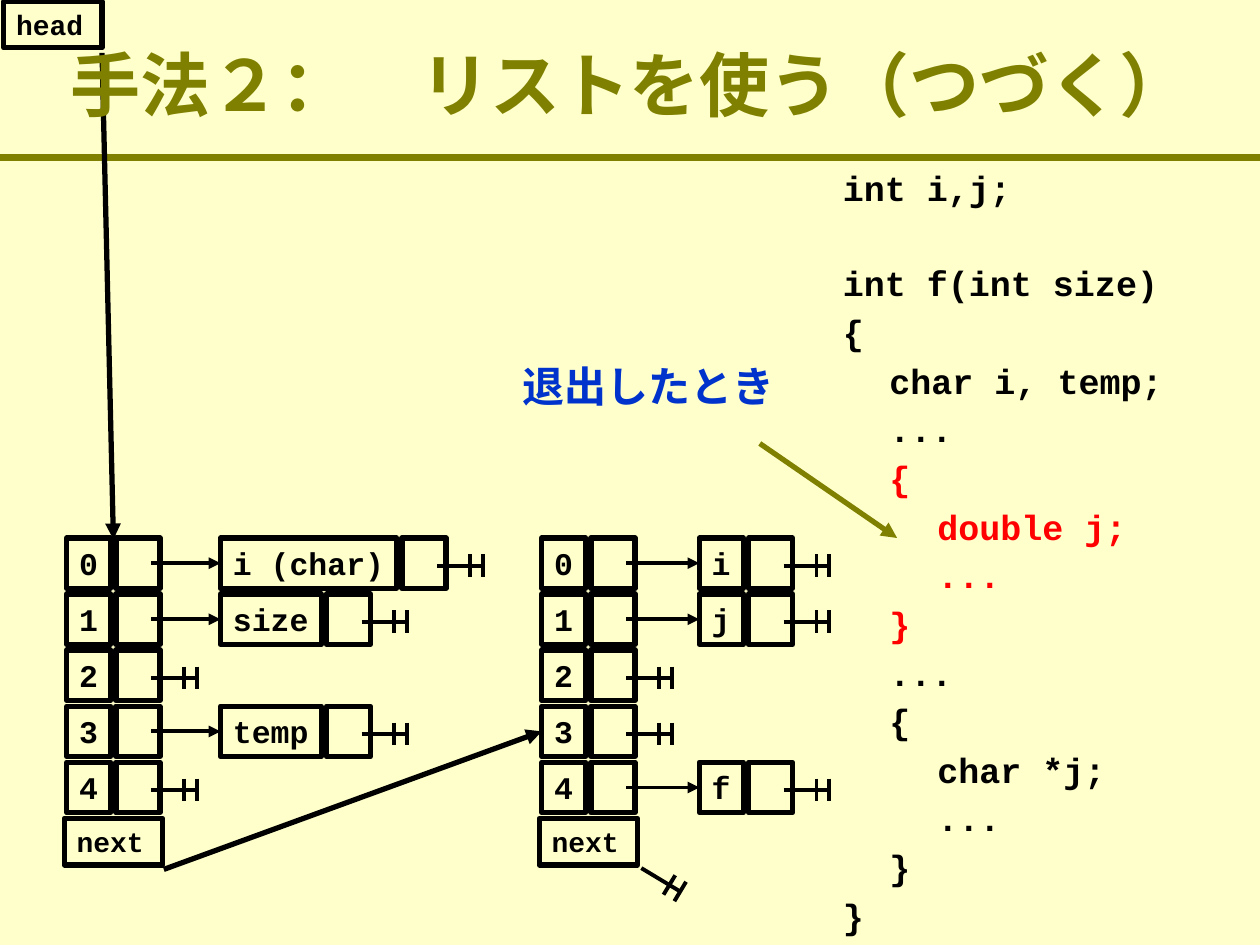
import math

from lxml import etree
from pptx import Presentation
from pptx.dml.color import RGBColor
from pptx.enum.shapes import MSO_CONNECTOR, MSO_SHAPE
from pptx.enum.text import MSO_ANCHOR, PP_ALIGN
from pptx.oxml.ns import qn
from pptx.util import Inches, Pt

STRAIGHT = MSO_CONNECTOR.STRAIGHT
RECTANGLE = MSO_SHAPE.RECTANGLE
TOP = MSO_ANCHOR.TOP
MIDDLE = MSO_ANCHOR.MIDDLE
LEFT = PP_ALIGN.LEFT
CENTER = PP_ALIGN.CENTER
LEFT_SIDE = 1

CREAM = RGBColor(0xFF, 0xFF, 0xCC)
OLIVE = RGBColor(0x80, 0x80, 0x00)
BLACK = RGBColor(0x00, 0x00, 0x00)
BLUE = RGBColor(0x00, 0x33, 0xCC)
RED = RGBColor(0xFF, 0x00, 0x00)

CELL_WIDTH = 0.35
CELL_HEIGHT = 0.4
ROW_PITCH = 0.445
LINK_GAP = 0.04
POINTER_OFFSET = 0.28
GROUND_LENGTH = 0.36
BAR_GAP = 0.1
BAR_HALF = 0.09

CELL_FONT = {"name": "Courier New", "size": Pt(18), "bold": True}
NAME_FONT = {"name": "Courier New", "size": Pt(16), "bold": True}
CODE_FONT = {"name": "Courier New", "size": Pt(20), "bold": True}
NOTE_FONT = {"name": "Comic Neue", "size": Pt(24), "bold": True}
TITLE_FONT = {"name": "Times New Roman", "size": Pt(40), "bold": True}

CODE_GAP = Pt(6.2)
CODE_BLANK_LINE = Pt(32.8)
CODE_LINES = [
    ("int i,j;", BLACK, Pt(0)),
    ("int f(int size)", BLACK, CODE_BLANK_LINE),
    ("{", BLACK, CODE_GAP),
    ("\tchar i, temp;", BLACK, CODE_GAP),
    ("\t...", BLACK, CODE_GAP),
    ("\t{", RED, CODE_GAP),
    ("\t\tdouble j;", RED, CODE_GAP),
    ("\t\t...", RED, CODE_GAP),
    ("\t}", RED, CODE_GAP),
    ("\t...", BLACK, CODE_GAP),
    ("\t{", BLACK, CODE_GAP),
    ("\t\tchar *j;", BLACK, CODE_GAP),
    ("\t\t...", BLACK, CODE_GAP),
    ("\t}", BLACK, CODE_GAP),
    ("}", BLACK, CODE_GAP),
]

INNER_TABLE = {0: ("i (char)", 1.4), 1: ("size", 0.8), 3: ("temp", 0.8)}
OUTER_TABLE = {0: ("i", CELL_WIDTH), 1: ("j", CELL_WIDTH), 4: ("f", CELL_WIDTH)}


def format_font(font, values, color):
    for name, value in values.items():
        setattr(font, name, value)
    font.color.rgb = color


def add_line(slide, start, end, width=2.25, color=BLACK, arrow=False):
    points = [Inches(value) for value in (*start, *end)]
    connector = slide.shapes.add_connector(STRAIGHT, *points)
    connector.line.width = Pt(width)
    connector.line.color.rgb = color
    properties = connector.line._get_or_add_ln()
    if arrow:
        etree.SubElement(properties, qn("a:tailEnd"), type="triangle")
    etree.SubElement(properties.getparent(), qn("a:effectLst"))
    return connector


def add_cell(slide, left, top, width, height, text="", font=CELL_FONT):
    shape = slide.shapes.add_shape(
        RECTANGLE, Inches(left), Inches(top), Inches(width), Inches(height))
    shape.shadow.inherit = False
    shape.fill.background()
    shape.line.color.rgb = BLACK
    shape.line.width = Pt(3)
    if text:
        frame = shape.text_frame
        frame.word_wrap = False
        frame.vertical_anchor = TOP
        paragraph = frame.paragraphs[0]
        paragraph.text = text
        paragraph.alignment = LEFT
        format_font(paragraph.font, font, BLACK)
    return shape


def add_ground(slide, left, top, angle=0):
    across, down = math.cos(angle), math.sin(angle)

    def point(along, aside):
        return (left + along * across - aside * down,
                top + along * down + aside * across)

    add_line(slide, point(0, 0), point(GROUND_LENGTH, 0))
    for along in (GROUND_LENGTH - BAR_GAP, GROUND_LENGTH):
        add_line(slide, point(along, -BAR_HALF), point(along, BAR_HALF))


def add_symbol_table(slide, left, top, entry_left, entries):
    index_cells = []
    link_left = left + CELL_WIDTH + LINK_GAP
    pointer_left = link_left + POINTER_OFFSET
    for row in range(5):
        row_top = top + row * ROW_PITCH
        ground_top = row_top + 0.22
        index_cells.append(
            add_cell(slide, left, row_top, CELL_WIDTH, CELL_HEIGHT, str(row)))
        add_cell(slide, link_left, row_top, CELL_WIDTH, CELL_HEIGHT)
        if row not in entries:
            add_ground(slide, pointer_left, ground_top)
            continue
        name, width = entries[row]
        entry = add_cell(slide, entry_left, row_top, width, CELL_HEIGHT, name)
        end_left = entry_left + width + LINK_GAP
        add_cell(slide, end_left, row_top, CELL_WIDTH, CELL_HEIGHT)
        add_ground(slide, end_left + POINTER_OFFSET, ground_top)
        middle = row_top + CELL_HEIGHT / 2
        arrow = add_line(slide, (pointer_left, middle), (entry_left, middle), arrow=True)
        arrow.end_connect(entry, LEFT_SIDE)
    add_cell(slide, left - 0.02, top + 5 * ROW_PITCH, 0.78, 0.37, "next", NAME_FONT)
    return index_cells


def add_text_box(slide, left, top, width, height, anchor=TOP):
    box = slide.shapes.add_textbox(
        Inches(left), Inches(top), Inches(width), Inches(height))
    box.text_frame.word_wrap = True
    box.text_frame.vertical_anchor = anchor
    return box.text_frame


def add_code(slide, left, top, width, height):
    frame = add_text_box(slide, left, top, width, height)
    for number, (text, color, gap) in enumerate(CODE_LINES):
        paragraph = frame.add_paragraph() if number else frame.paragraphs[0]
        paragraph.text = text
        paragraph.line_spacing = 0.9
        paragraph.space_before = gap
        tabs = etree.SubElement(paragraph._p.get_or_add_pPr(), qn("a:tabLst"))
        for stop in (0.37, 0.75):
            etree.SubElement(tabs, qn("a:tab"), pos=str(Inches(stop)), algn="l")
        format_font(paragraph.font, CODE_FONT, color)


def add_heading(slide, left, top, width, height, text, font, color):
    frame = add_text_box(slide, left, top, width, height, MIDDLE)
    paragraph = frame.paragraphs[0]
    paragraph.text = text
    paragraph.alignment = CENTER
    paragraph.line_spacing = 0.9
    format_font(paragraph.font, font, color)


def main():
    presentation = Presentation()
    presentation.slide_width = Inches(10)
    presentation.slide_height = Inches(7.5)
    slide = presentation.slides.add_slide(presentation.slide_layouts[6])
    slide.background.fill.solid()
    slide.background.fill.fore_color.rgb = CREAM

    add_line(slide, (0, 1.25), (10, 1.25), 4.5, OLIVE)
    add_heading(slide, 4.05, 2.84, 2.2, 0.5, "退出したとき", NOTE_FONT, BLUE)
    add_symbol_table(slide, 0.53, 4.27, 1.75, INNER_TABLE)
    add_cell(slide, 0.03, 0.01, 0.78, 0.37, "head", NAME_FONT)
    outer_cells = add_symbol_table(slide, 4.3, 4.27, 5.55, OUTER_TABLE)
    next_arrow = add_line(slide, (1.3, 6.9), (4.3, 5.8), 3, arrow=True)
    next_arrow.end_connect(outer_cells[3], LEFT_SIDE)
    add_line(slide, (6.03, 3.52), (7.12, 4.27), 3, OLIVE, arrow=True)
    add_line(slide, (0.81, 0.42), (0.9, 4.28), 3, arrow=True)
    add_ground(slide, 5.09, 6.89, math.radians(31))
    add_code(slide, 6.59, 1.31, 3.19, 6.05)
    add_heading(slide, 0, 0.08, 10, 1.25, "手法２：\u3000リストを使う（つづく）".replace("\u3000", "　"), TITLE_FONT, OLIVE)
    presentation.save("out.pptx")


if __name__ == "__main__":
    main()
